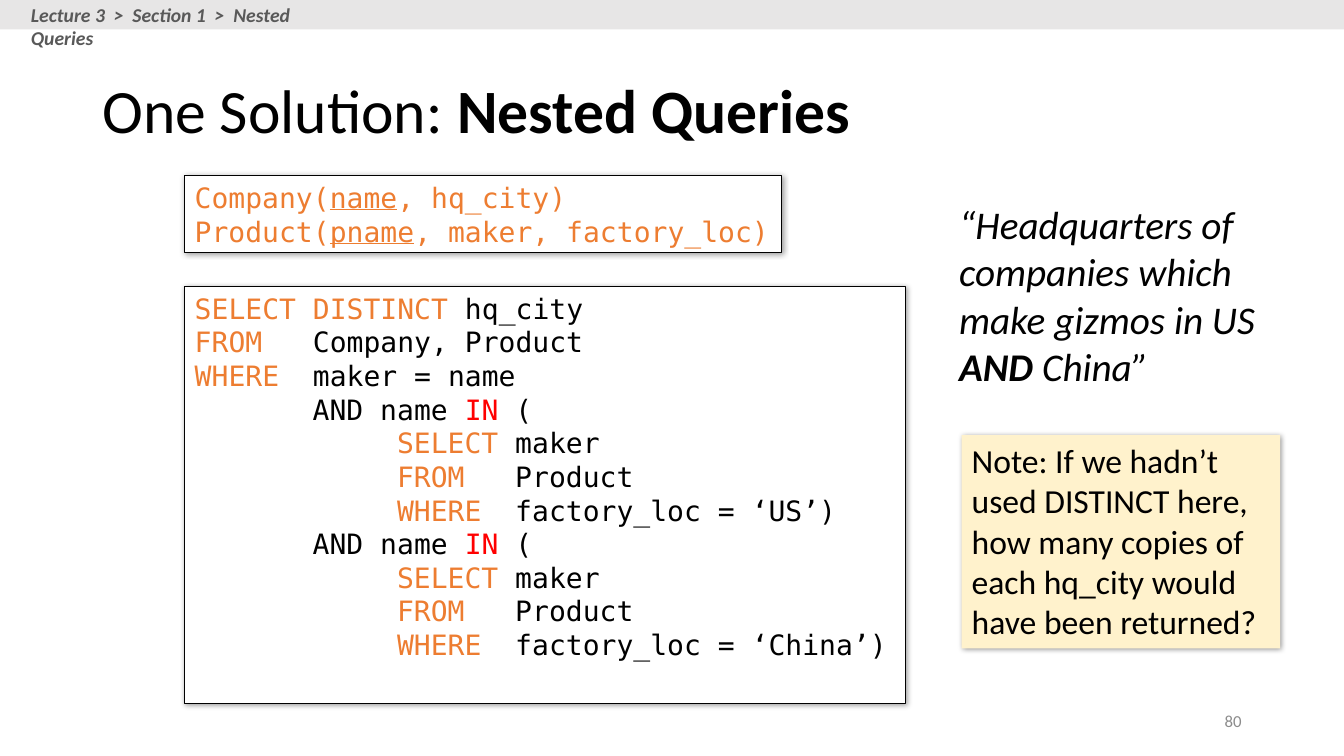
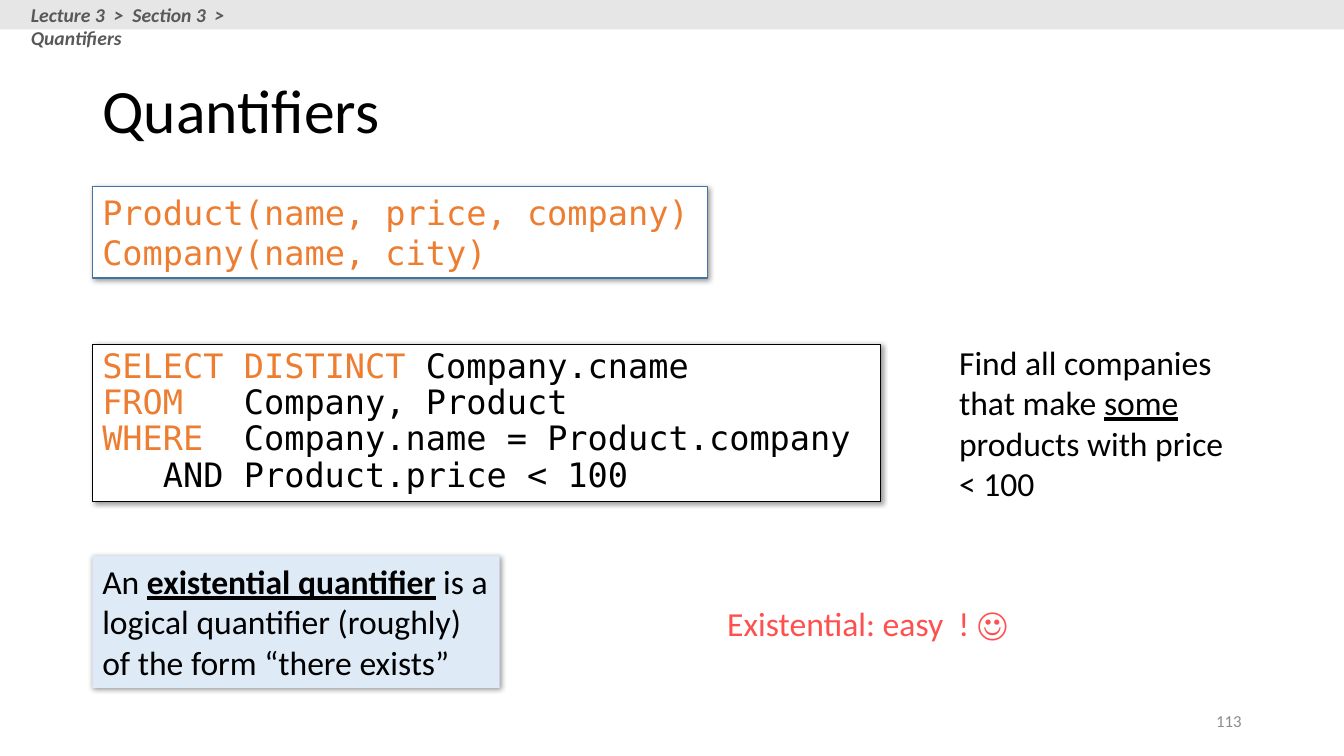
from lxml import etree
from pptx import Presentation
from pptx import util as u
from pptx.dml.color import RGBColor
from pptx.enum import shapes, text
from pptx.oxml.ns import qn

BODY, CODE = "Calibri", "DejaVu Sans Mono"
BLACK, WHITE, ORANGE, RED, CORAL = "000000", "FFFFFF", "ED7D31", "FF0000", "FF5050"
BAND, CRUMB, PAGE = "E7E6E6", "595959", "8C8C8C"
CREAM, PALE_BLUE, BLUE_EDGE = "FFF2CC", "DEEBF7", "43739E"
CHAR_WIDTH = 0.602  # advance of one code character, as a share of its size

deck = Presentation()
deck.slide_width, deck.slide_height = u.Inches(13.333), u.Inches(7.5)
COLUMN, ROW = deck.slide_width / 160, deck.slide_height / 90


def panel(slide, place, fill=None, edge=None, shadow=True):
    """Add a box at (column, row, columns, rows); without fill it is plain text."""
    left, top, width, height = place
    frame = [int(n) for n in (left * COLUMN, top * ROW, width * COLUMN, height * ROW)]
    if fill is None:
        return slide.shapes.add_textbox(*frame)
    box = slide.shapes.add_shape(shapes.MSO_SHAPE.RECTANGLE, *frame)
    box.shadow.inherit = False
    box.fill.solid()
    box.fill.fore_color.rgb = RGBColor.from_string(fill)
    if edge:
        box.line.color.rgb = RGBColor.from_string(edge)
        box.line.width = u.Pt(0.75)
    else:
        box.line.fill.background()
    if shadow:
        effects = box._element.spPr.find(qn("a:effectLst"))
        outer = etree.SubElement(effects, qn("a:outerShdw"), blurRad=str(u.Pt(4)),
                                 dist=str(u.Pt(1)), dir="2700000", algn="tl", rotWithShape="0")
        color = etree.SubElement(outer, qn("a:srgbClr"), val=BLACK)
        etree.SubElement(color, qn("a:alpha"), val="40000")
    return box


def write(box, lines, size, font=BODY, color=BLACK, style="", spacing=None,
          align=text.PP_ALIGN.LEFT, anchor=text.MSO_ANCHOR.TOP):
    """Fill a box. A line is a list of strings, (string, style or colour) pairs,
    and optionally a leading number: its indent in code characters."""
    frame = box.text_frame
    frame.word_wrap, frame.vertical_anchor = True, anchor
    for index, line in enumerate(lines):
        paragraph = frame.add_paragraph() if index else frame.paragraphs[0]
        paragraph.alignment = align
        if spacing:
            paragraph.line_spacing = spacing
        for part in line:
            if isinstance(part, int):
                indent = u.Pt(part * size * CHAR_WIDTH)
                paragraph._p.get_or_add_pPr().set("marL", str(indent))
                continue
            words, look = (part, "") if isinstance(part, str) else part
            tint = look if len(look) == 6 else color
            marks = style + (look if len(look) < 6 else "")
            run = paragraph.add_run()
            run.text = words
            run.font.name, run.font.size = font, u.Pt(size)
            run.font.color.rgb = RGBColor.from_string(tint)
            run.font.bold, run.font.italic = "b" in marks, "i" in marks
            run.font.underline = "u" in marks


# Shared frame: band, breadcrumb, title, page number
pages = [
    ("Section 1  >  Nested Queries", 40.56, ["One Solution: ", ("Nested Queries", "b")], "80"),
    ("Section 3  >  Quantifiers", 36.72, ["Quantifiers"], "113"),
]
slides = []
for section, crumb_width, title, number in pages:
    slide = deck.slides.add_slide(deck.slide_layouts[6])
    slides.append(slide)
    panel(slide, (0, 0, 160, 3.5), BAND, shadow=False)
    write(panel(slide, (2.5, -0.25, crumb_width, 4)), [["Lecture 3  >  " + section]], 14,
          color=CRUMB, style="bi")
    write(panel(slide, (11, 4.8, 138, 17.4)), [title], 44, spacing=0.9,
          anchor=text.MSO_ANCHOR.MIDDLE)
    write(panel(slide, (113, 83.4, 36, 4.8)), [[number]], 12, color=PAGE,
          align=text.PP_ALIGN.RIGHT, anchor=text.MSO_ANCHOR.MIDDLE)
nested, quantifiers = slides

# Nested queries
write(panel(nested, (22, 20.9, 71, 9.2), WHITE, BLACK),
      [["Company(", ("name", "u"), ", hq_city)"],
       ["Product(", ("pname", "u"), ", maker, factory_loc)"]], 20, CODE, ORANGE)

query = [[("SELECT DISTINCT ", ORANGE), "hq_city"],
         [("FROM   ", ORANGE), "Company, Product"],
         [("WHERE  ", ORANGE), "maker = name"]]
for country in ("US", "China"):
    query += [[7, "AND name ", ("IN ", RED), "("],
              [12, ("SELECT ", ORANGE), "maker"],
              [12, ("FROM   ", ORANGE), "Product"],
              [12, ("WHERE  ", ORANGE), f"factory_loc = ‘{country}’)"]]
write(panel(nested, (22, 34.1, 85.8, 49.7), WHITE, BLACK), query, 20, CODE)

write(panel(nested, (113, 23.3, 39.5, 23.9)),
      [["“Headquarters of companies which make gizmos in US ", ("AND", "b"), " China”"]],
      28, style="i")
write(panel(nested, (114.5, 51.8, 37.9, 25.4), CREAM),
      [["Note: If we hadn’t used DISTINCT here, how many copies of each hq_city "
        "would have been returned?"]], 24)

# Quantifiers
write(panel(quantifiers, (11, 22.2, 73.2, 10.9), WHITE, BLUE_EDGE),
      [["Product(name, price, company)"], ["Company(name, city)"]], 24, CODE, ORANGE)
write(panel(quantifiers, (11, 41, 93.8, 18.7), WHITE, BLACK),
      [[("SELECT DISTINCT ", ORANGE), "Company.cname"],
       [("FROM   ", ORANGE), "Company, Product"],
       [("WHERE  ", ORANGE), "Company.name = Product.company"],
       [3, "AND Product.price < 100"]], 24, CODE, spacing=0.9)
write(panel(quantifiers, (113, 40.1, 36, 20.6)),
      [["Find all companies that make ", ("some", "u"), " products with price < 100"]], 24)
write(panel(quantifiers, (11, 66.2, 48.5, 15.7), PALE_BLUE),
      [["An ", ("existential quantifier", "bu"),
        " is a logical quantifier (roughly) of the form “there exists”"]], 24)
write(panel(quantifiers, (85.4, 71.2, 40, 6)), [["Existential: easy  ! ☺"]], 24, color=CORAL)

deck.save("out.pptx")
